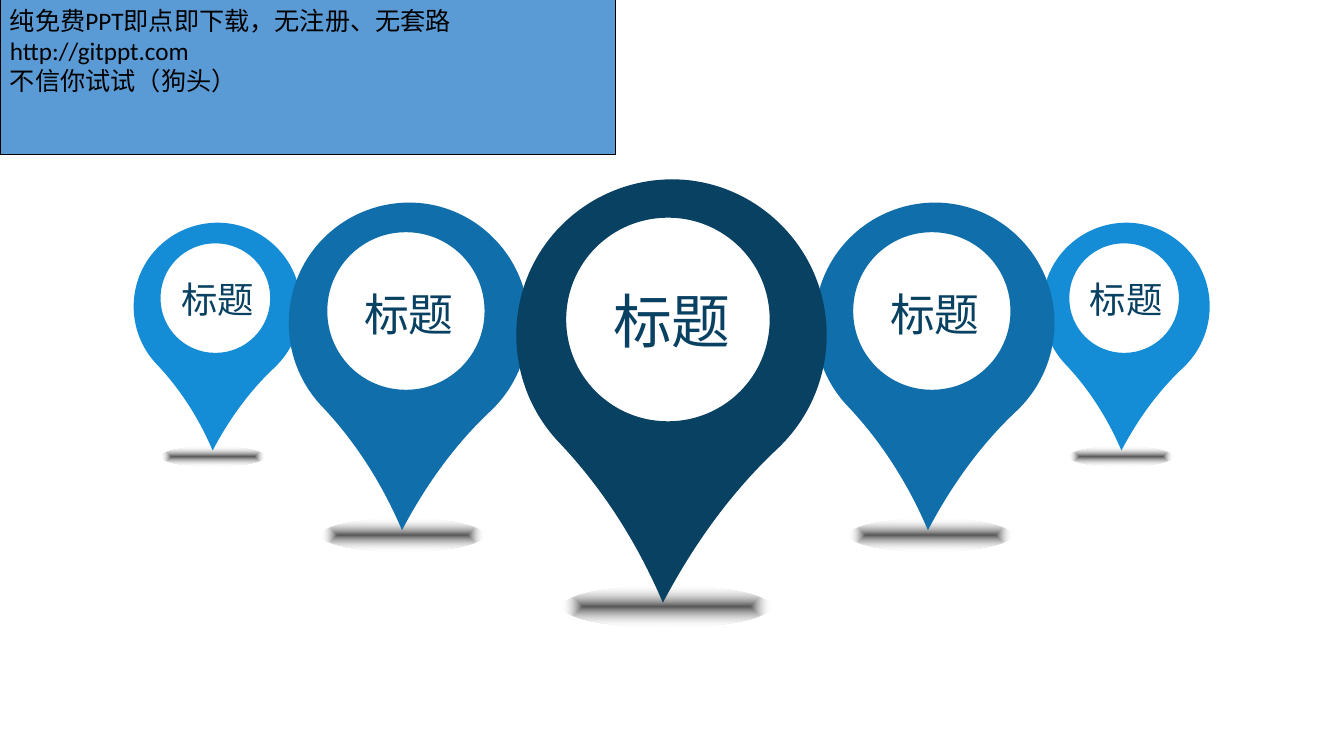
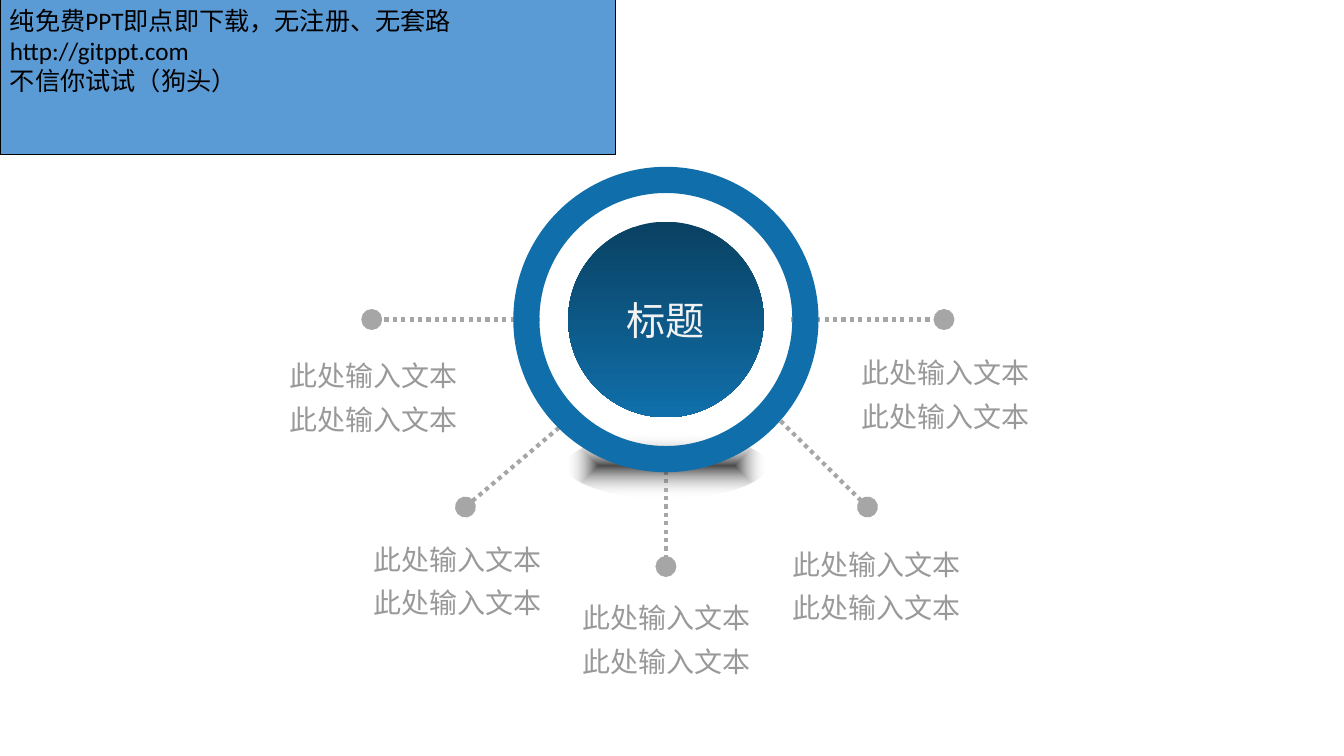
from lxml.etree import SubElement, fromstring
from pptx import Presentation
from pptx.dml.color import RGBColor
from pptx.enum.dml import MSO_LINE_DASH_STYLE as Dash
from pptx.enum.shapes import MSO_CONNECTOR as Connector, MSO_SHAPE as Shape
from pptx.enum.text import MSO_ANCHOR as Anchor, PP_ALIGN as Align
from pptx.oxml.ns import nsdecls, qn
from pptx.util import Emu, Pt

PX = 9144  # EMU in one px, 100 px to the inch
FONT, BANNER_FONT = "Noto Sans CJK SC", "Calibri"
COLORS = {
    "navy": "094162", "blue": "106FAA", "sky": "148CD6",
    "label": "999999", "dots": "A6A6A6", "pale": "F2F2F2",
    "shade": "595959", "black": "000000", "white": "FFFFFF",
    "banner": "5B9BD5",
}
TITLE = "标题"

# Both slides: banner in the top left corner
BANNER_BOX = (0, 0, 611, 153)
BANNER_LINES = [
    "纯免费PPT即点即下载，无注册、无套路",
    "http://gitppt.com",
    "不信你试试（狗头）",
]

# Slide 1: pins from the outside in; the middle one ends up in front
PIN_SIZES = {
    "small": {"box": (221, 166, 226), "color": "sky", "size": 26,
              "inset": 74, "shadow": (443, 102, 20)},
    "medium": {"box": (201, 238, 325), "color": "blue", "size": 32,
               "inset": 105, "shadow": (515, 161, 32)},
    "large": {"box": (178, 308, 420), "color": "navy", "size": 42,
              "inset": 142, "shadow": (581, 207, 41)},
}
# size, left of the pin, left of its shadow
PINS = [
    ("small", 133, 160), ("small", 1035, 1062),
    ("medium", 809, 843), ("medium", 287, 319),
    ("large", 513, 558),
]
# Outline of the large pin: a start, then two controls and an end per curve
PIN_WIDTH, PIN_HEIGHT = 308, 420
PIN_OUTLINE = [
    (158, 0),
    (198, 1), (237, 18), (266, 49),
    (324, 111), (321, 208), (259, 267),
    (214, 309), (176, 361), (145, 420),
    (119, 359), (84, 305), (41, 260),
    (-17, 198), (-14, 100), (48, 42),
    (79, 13), (119, -1), (158, 0),
]
HOLE_CENTER, HOLE_RADIUS, HOLE_HANDLE = (150, 139), 101, 56

# Slide 2: a hub with spokes
HUB = (661, 317)
RING_DIAMETER, RING_WIDTH, DISC_DIAMETER = 303, 26, 194
HUB_SHADOW = (562, 430, 199, 64)
LABEL_LINES = ["此处输入文本", "此处输入文本"]
LABEL_SIZE = (187, 97)
# spoke start, spoke end, corner of the label
SPOKES = [
    ((574, 408), (462, 503), (361, 523)),
    ((661, 442), (661, 562), (568, 581)),
    ((757, 400), (861, 503), (777, 528)),
    ((785, 317), (937, 317), (845, 338)),
    ((536, 317), (369, 317), (277, 341)),
]


def px(*lengths):
    return [Emu(round(length * PX)) for length in lengths]


def rgb(name):
    return RGBColor.from_string(COLORS[name])


def plain(shape, color=None):
    shape.shadow.inherit = False
    shape.line.fill.background()
    if color:
        shape.fill.solid()
        shape.fill.fore_color.rgb = rgb(color)
    return shape


def gradient(shape, stops, direction):
    """Fill with (position, colour, opacity) stops, in percent."""
    marks = "".join(
        f'<a:gs pos="{pos * 1000}"><a:srgbClr val="{COLORS[color]}">'
        f'<a:alpha val="{opacity * 1000}"/></a:srgbClr></a:gs>'
        for pos, color, opacity in stops)
    shape.fill.background()
    properties = shape._element.spPr
    properties.replace(properties.find(qn("a:noFill")), fromstring(
        f'<a:gradFill {nsdecls("a")} rotWithShape="1">'
        f'<a:gsLst>{marks}</a:gsLst>{direction}</a:gradFill>'))


def ground_shadow(slide, box, inner, outer):
    shadow = plain(slide.shapes.add_shape(Shape.OVAL, *px(*box)))
    gradient(shadow, [(0, *inner), (100, *outer)],
             '<a:path path="rect"><a:fillToRect l="50000" t="50000" '
             'r="50000" b="50000"/></a:path>')


def write(shape, lines, size, color, frame_format, font=FONT,
          align=Align.CENTER, spacing=None):
    frame = shape.text_frame
    for name, value in frame_format.items():
        setattr(frame, name, value)
    for index, line in enumerate(lines):
        paragraph = frame.add_paragraph() if index else frame.paragraphs[0]
        paragraph.alignment = align
        paragraph.line_spacing = spacing
        run = paragraph.add_run()
        run.text = line
        for name, value in {"name": font, "size": Pt(size)}.items():
            setattr(run.font, name, value)
        run.font.color.rgb = rgb(color)
        if font == FONT:
            SubElement(run.font._element, qn("a:ea"), typeface=font)


def centered_text(bottom=0):
    return {"margin_left": 0, "margin_top": 0, "margin_right": 0,
            "margin_bottom": px(bottom)[0], "word_wrap": False,
            "vertical_anchor": Anchor.MIDDLE}


def add_banner(slide):
    banner = plain(slide.shapes.add_shape(
        Shape.RECTANGLE, *px(*BANNER_BOX)), "banner")
    banner.line.color.rgb = rgb("black")
    banner.line.width = Pt(0.75)
    write(banner, BANNER_LINES, 18, "black",
          {"word_wrap": True, "vertical_anchor": Anchor.TOP},
          BANNER_FONT, Align.LEFT)


def pin_hole():
    """Four quarter curves, each a quarter turn on from the last."""
    r, handle = HOLE_RADIUS, HOLE_HANDLE
    points, quarter = [(0, -r)], [(-handle, -r), (-r, -handle), (-r, 0)]
    for _ in range(4):
        points += quarter
        quarter = [(y, -x) for x, y in quarter]
    return [(HOLE_CENTER[0] + x, HOLE_CENTER[1] + y) for x, y in points]


def bend(marker):
    """Turn each three segments into one curve and fit the pin's own frame."""
    outline = next(marker._element.iter(qn("a:path")))
    outline.set("w", str(PIN_WIDTH))
    outline.set("h", str(PIN_HEIGHT))
    for axis in (0, 1):
        shift = min(point[axis] for point in PIN_OUTLINE)
        for point in outline.iter(qn("a:pt")):
            name = "xy"[axis]
            point.set(name, str(int(point.get(name)) + shift))
    segments = outline.findall(qn("a:lnTo"))
    for curve, *rest in zip(segments[::3], segments[1::3], segments[2::3]):
        curve.tag = qn("a:cubicBezTo")
        for segment in rest:
            curve.append(segment[0])
            outline.remove(segment)


def add_pin(slide, left, pin):
    hole = pin_hole()
    builder = slide.shapes.build_freeform(*hole[0], scale=PX)
    builder.add_line_segments(hole[1:], close=True)
    builder.move_to(*PIN_OUTLINE[0])
    builder.add_line_segments(PIN_OUTLINE[1:], close=True)
    marker = plain(builder.convert_to_shape(), pin["color"])
    bend(marker)
    frame = zip(("left", "top", "width", "height"), px(left, *pin["box"]))
    for name, value in frame:
        setattr(marker, name, value)
    write(marker, [TITLE], pin["size"], "navy", centered_text(pin["inset"]))


def pins_slide(slide):
    for size, _, shadow_left in PINS:
        ground_shadow(slide, (shadow_left, *PIN_SIZES[size]["shadow"]),
                      ("shade", 100), ("pale", 0))
    for size, left, _ in PINS:
        add_pin(slide, left, PIN_SIZES[size])


def add_spoke(slide, start, end):
    spoke = slide.shapes.add_connector(
        Connector.STRAIGHT, *px(*start), *px(*end))
    spoke.line.color.rgb = rgb("dots")
    spoke.line.width = Pt(3)
    spoke.line.dash_style = Dash.ROUND_DOT
    SubElement(spoke._element.spPr.find(qn("a:ln")), qn("a:tailEnd"),
               type="oval", w="lg", len="lg")
    SubElement(spoke._element.spPr, qn("a:effectLst"))


def add_round(slide, kind, diameter, color=None):
    left, top = (center - diameter / 2 for center in HUB)
    return plain(slide.shapes.add_shape(
        kind, *px(left, top, diameter, diameter)), color)


def hub_slide(slide):
    # Spokes and labels
    for start, end, corner in SPOKES:
        add_spoke(slide, start, end)
        label = slide.shapes.add_textbox(*px(*corner, *LABEL_SIZE))
        write(label, LABEL_LINES, 20, "label", {"word_wrap": False},
              spacing=1.3)
    # Hub over its shadow
    ground_shadow(slide, HUB_SHADOW, ("black", 70), ("white", 0))
    disc = add_round(slide, Shape.OVAL, DISC_DIAMETER)
    gradient(disc, [(0, "navy", 100), (100, "blue", 100)],
             '<a:lin ang="5400000" scaled="0"/>')
    write(disc, [TITLE], 28, "pale", centered_text())
    ring = add_round(slide, Shape.DONUT, RING_DIAMETER, "blue")
    ring.adjustments[0] = RING_WIDTH / RING_DIAMETER


def main():
    deck = Presentation()
    deck.slide_width, deck.slide_height = px(1334, 750)
    for build in (pins_slide, hub_slide):
        slide = deck.slides.add_slide(deck.slide_layouts[6])
        build(slide)
        add_banner(slide)
    deck.save("out.pptx")


if __name__ == "__main__":
    main()
